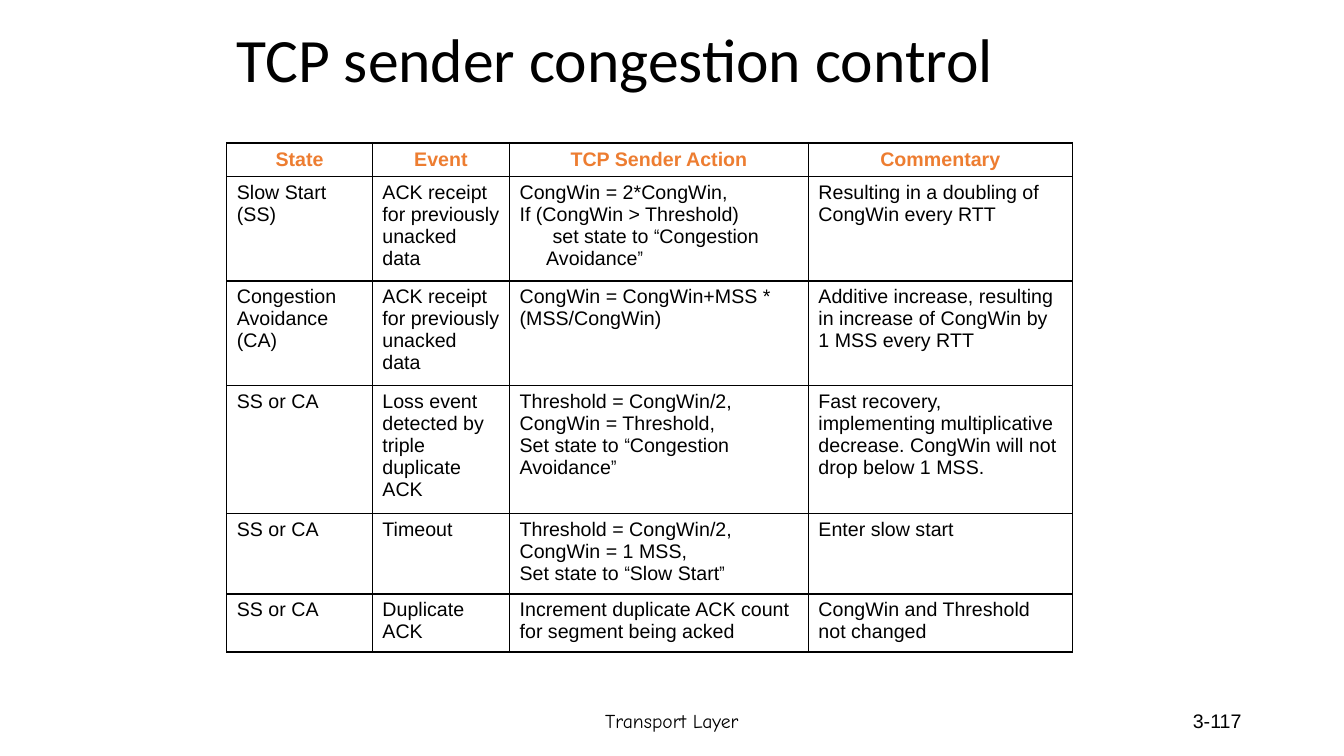
from itertools import groupby

from lxml import etree
from pptx import Presentation
from pptx import util as u
from pptx.dml.color import RGBColor
from pptx.enum import text
from pptx.oxml.ns import qn

COLORS = {"ink": "000000", "heading": "ED7D31"}
BODY_FONT, QUOTE_FONT = "Arial", "Arial Narrow"
BODY_SIZE = 14
LEFT, CENTER, RIGHT = text.PP_ALIGN.LEFT, text.PP_ALIGN.CENTER, text.PP_ALIGN.RIGHT

# wording, (left, top, width, height), font, size, alignment, line spacing
LABELS = [
    ("TCP sender congestion control", (162, 0, 612, 90), "Calibri", 44, LEFT, 0.9),
    ("Transport Layer", (318, 500.4, 324, 28.8), "Comic Neue", BODY_SIZE, CENTER, 1.0),
    ("3-117", (678, 500.4, 216, 28.8), BODY_FONT, BODY_SIZE, RIGHT, 1.0),
]

HEADINGS = ["State", "Event", "TCP Sender Action", "Commentary"]
NESTED_ACTION = "set state to “Congestion Avoidance”"
STATES = [
    ["Slow Start (SS)",
     "ACK receipt for previously unacked data",
     "CongWin = 2*CongWin,\nIf (CongWin > Threshold)\n" + NESTED_ACTION,
     "Resulting in a doubling of CongWin every RTT"],
    ["Congestion\nAvoidance (CA)",
     "ACK receipt for previously unacked data",
     "CongWin = CongWin+MSS * (MSS/CongWin)",
     "Additive increase, resulting in increase of CongWin by 1 MSS every RTT"],
    ["SS or CA",
     "Loss event detected by triple duplicate ACK",
     "Threshold = CongWin/2,\nCongWin = Threshold,\nSet state to “Congestion Avoidance”",
     "Fast recovery, implementing multiplicative decrease. "
     "CongWin will not drop below 1 MSS."],
    ["SS or CA",
     "Timeout",
     "Threshold = CongWin/2,\nCongWin = 1 MSS,\nSet state to “Slow Start”",
     "Enter slow start"],
    ["SS or CA",
     "Duplicate ACK",
     "Increment duplicate ACK count for segment being acked",
     "CongWin and Threshold not changed"],
]
TABLE_LEFT, TABLE_TOP = 162, 102.24
COLUMN_WIDTHS = [104, 98, 213.5, 188.5]
ROW_HEIGHTS = [24, 74.25, 74.25, 91.5, 57.5, 41.25]
SIDE_BORDER, INNER_BORDER, OUTER_BORDER = 0.75, 1, 2


def style(font, name, size, color, bold=False):
    font.name, font.size, font.bold = name, u.Pt(size), bold
    font.color.rgb = RGBColor.from_string(COLORS[color])


def add_label(slide, wording, box, font_name, size, align, spacing):
    frame = slide.shapes.add_textbox(*map(u.Pt, box)).text_frame
    frame.word_wrap = True
    frame.vertical_anchor = text.MSO_ANCHOR.MIDDLE
    frame.text = wording
    line = frame.paragraphs[0]
    line.alignment, line.line_spacing = align, spacing
    style(line.runs[0].font, font_name, size, "ink")


def add_borders(cell, top, bottom):
    properties = cell._tc.get_or_add_tcPr()
    widths = {"L": SIDE_BORDER, "R": SIDE_BORDER, "T": top, "B": bottom}
    for side, width in widths.items():
        border = etree.SubElement(properties, qn(f"a:ln{side}"), w=str(u.Pt(width)))
        fill = etree.SubElement(border, qn("a:solidFill"))
        etree.SubElement(fill, qn("a:srgbClr"), val=COLORS["ink"])


def write_cell(cell, wording, is_heading):
    """Fill a cell line by line, with curly quotes in the narrow font."""
    cell.margin_left = cell.margin_right = u.Pt(7.2)
    cell.margin_top = cell.margin_bottom = u.Pt(3.6)
    for number, wording_line in enumerate(wording.split("\n")):
        frame = cell.text_frame
        line = frame.add_paragraph() if number else frame.paragraphs[0]
        line.alignment = CENTER if is_heading else LEFT
        if wording_line == NESTED_ACTION:
            indents = line._p.get_or_add_pPr()
            indents.set("marL", str(u.Pt(19)))
            indents.set("indent", str(u.Pt(4.5)))
        for is_quote, letters in groupby(wording_line, lambda letter: letter in "“”"):
            run = line.add_run()
            run.text = "".join(letters)
            style(run.font, QUOTE_FONT if is_quote else BODY_FONT, BODY_SIZE,
                  "heading" if is_heading else "ink", is_heading)


def add_state_table(slide):
    rows = [HEADINGS] + STATES
    table = slide.shapes.add_table(
        len(rows), len(HEADINGS), u.Pt(TABLE_LEFT), u.Pt(TABLE_TOP),
        u.Pt(sum(COLUMN_WIDTHS)), u.Pt(sum(ROW_HEIGHTS))).table
    table.first_row = table.horz_banding = False
    for column, width in zip(table.columns, COLUMN_WIDTHS):
        column.width = u.Pt(width)
    last = len(rows) - 1
    for r, (wordings, height) in enumerate(zip(rows, ROW_HEIGHTS)):
        table.rows[r].height = u.Pt(height)
        for c, wording in enumerate(wordings):
            cell = table.cell(r, c)
            write_cell(cell, wording, r == 0)
            add_borders(cell, OUTER_BORDER if r == 0 else INNER_BORDER,
                        OUTER_BORDER if r == last else INNER_BORDER)
            cell.fill.background()


def main():
    deck = Presentation()
    deck.slide_width, deck.slide_height = u.Pt(960), u.Pt(540)
    slide = deck.slides.add_slide(deck.slide_layouts[6])
    for label in LABELS:
        add_label(slide, *label)
    add_state_table(slide)
    deck.save("out.pptx")


if __name__ == "__main__":
    main()
